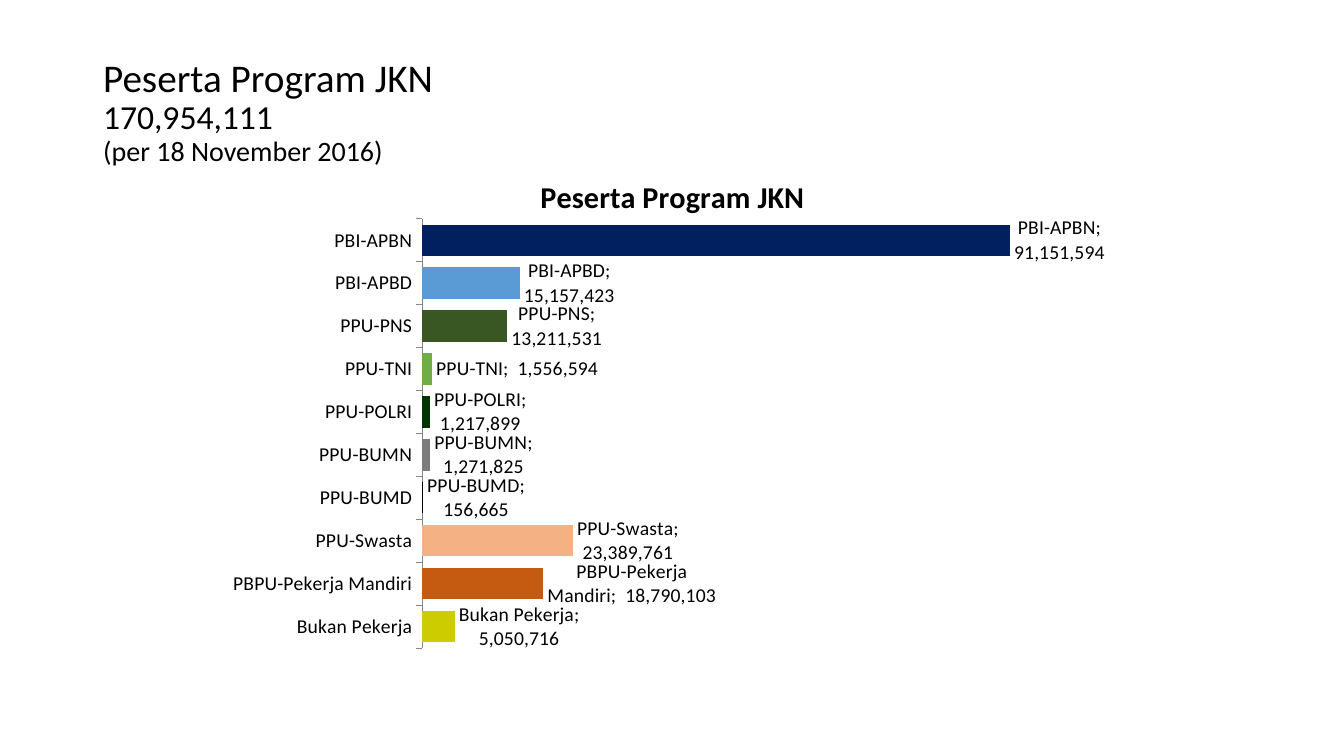
"""Build a slide with a bar chart of JKN programme participants."""
from lxml import etree
from pptx import Presentation
from pptx import util as u
from pptx.chart.data import CategoryChartData
from pptx.dml.color import RGBColor
from pptx.enum import chart as charts, text
from pptx.oxml import parse_xml
from pptx.oxml.ns import nsdecls, qn

PX = 914400 / 100.8
NUMBER_FORMAT = '_(* #,##0_);_(* \\(#,##0\\);_(* "-"??_);_('
HEADING = "Peserta Program JKN"
PARTICIPANTS = [
    ("Bukan Pekerja", 5050716, "CCCC00"),
    ("PBPU-Pekerja Mandiri", 18790103, "C55A11"),
    ("PPU-Swasta", 23389761, "F4B183"),
    ("PPU-BUMD", 156665, "000000"),
    ("PPU-BUMN", 1271825, "7C7C7C"),
    ("PPU-POLRI", 1217899, "003300"),
    ("PPU-TNI", 1556594, "70AD47"),
    ("PPU-PNS", 13211531, "385723"),
    ("PBI-APBD", 15157423, "5B9BD5"),
    ("PBI-APBN", 91151594, "002060"),
]


def color(value):
    return RGBColor.from_string(value)


def write(paragraph, words, size, bold=False, fill="000000", font="Calibri"):
    run = paragraph.add_run()
    run.text = words
    run.font.name, run.font.size, run.font.bold = font, u.Pt(size), bold
    run.font.color.rgb = color(fill)


presentation = Presentation()
presentation.slide_width, presentation.slide_height = u.Inches(13.33), u.Inches(7.5)
slide = presentation.slides.add_slide(presentation.slide_layouts[5])

title = slide.shapes.title
title.left, title.top, title.width, title.height = [round(n * PX) for n in (93, 40, 1159, 146)]
title.text_frame.word_wrap = True
title.text_frame.auto_size = text.MSO_AUTO_SIZE.NONE
title.text_frame.vertical_anchor = text.MSO_ANCHOR.MIDDLE
paragraph = title.text_frame.paragraphs[0]
paragraph.alignment = text.PP_ALIGN.LEFT
paragraph.line_spacing = 0.9
write(paragraph, HEADING, 28)
for words, size in [("170,954,111", 24), ("(per 18 November 2016)", 20)]:
    paragraph.add_line_break()
    write(paragraph, words, size)

names, values, fills = zip(*PARTICIPANTS)
data = CategoryChartData(number_format=NUMBER_FORMAT)
data.categories = names
data.add_series(HEADING, values)
place = [round(n * PX) for n in (219, 154, 907, 510)]
chart = slide.shapes.add_chart(charts.XL_CHART_TYPE.BAR_CLUSTERED, *place, data).chart
chart.font.name, chart.font.size = "Calibri", u.Pt(18)
chart.font.color.rgb = color("000000")
chart.has_legend = False
chart.has_title = True
write(chart.chart_title.text_frame.paragraphs[0], HEADING, 21.6, bold=True)
chart.chart_title.include_in_layout = False

category_axis = chart.category_axis
category_axis.major_tick_mark = charts.XL_TICK_MARK.OUTSIDE
category_axis.has_major_gridlines = False
category_axis.tick_labels.font.size = u.Pt(14)
category_axis.format.line.color.rgb = color("868686")
value_axis = chart.value_axis
value_axis.visible = False
value_axis.has_major_gridlines = False
value_axis.minimum_scale, value_axis.maximum_scale = 0, 100000000

plot = chart.plots[0]
plot.gap_width = 37
plot.vary_by_categories = False
series = plot.series[0]
series.format.fill.solid()
series.format.fill.fore_color.rgb = color("5B9BD5")
for index, fill in enumerate(fills):
    bar = series.points[index].format.fill
    bar.solid()
    bar.fore_color.rgb = color(fill)

labels = series.data_labels
labels.show_value = labels.show_category_name = True
labels.position = charts.XL_LABEL_POSITION.OUTSIDE_END
labels.number_format, labels.number_format_is_linked = NUMBER_FORMAT, False
labels.font.size = u.Pt(14)
labels.font.color.rgb = color("000000")
separator = etree.Element(qn("c:separator"))
separator.text = "; "
series._element.find(".//" + qn("c:showBubbleSize")).addnext(separator)

plot_area = chart._chartSpace.find(".//" + qn("c:plotArea"))
for layout in plot_area.findall(qn("c:layout")):
    plot_area.remove(layout)
plot_area.insert(0, parse_xml(
    f'<c:layout {nsdecls("c")}><c:manualLayout><c:layoutTarget val="inner"/>'
    '<c:xMode val="edge"/><c:yMode val="edge"/><c:x val="0.224"/><c:y val="0.127"/>'
    '<c:w val="0.711"/><c:h val="0.842"/></c:manualLayout></c:layout>'))

presentation.save("out.pptx")
